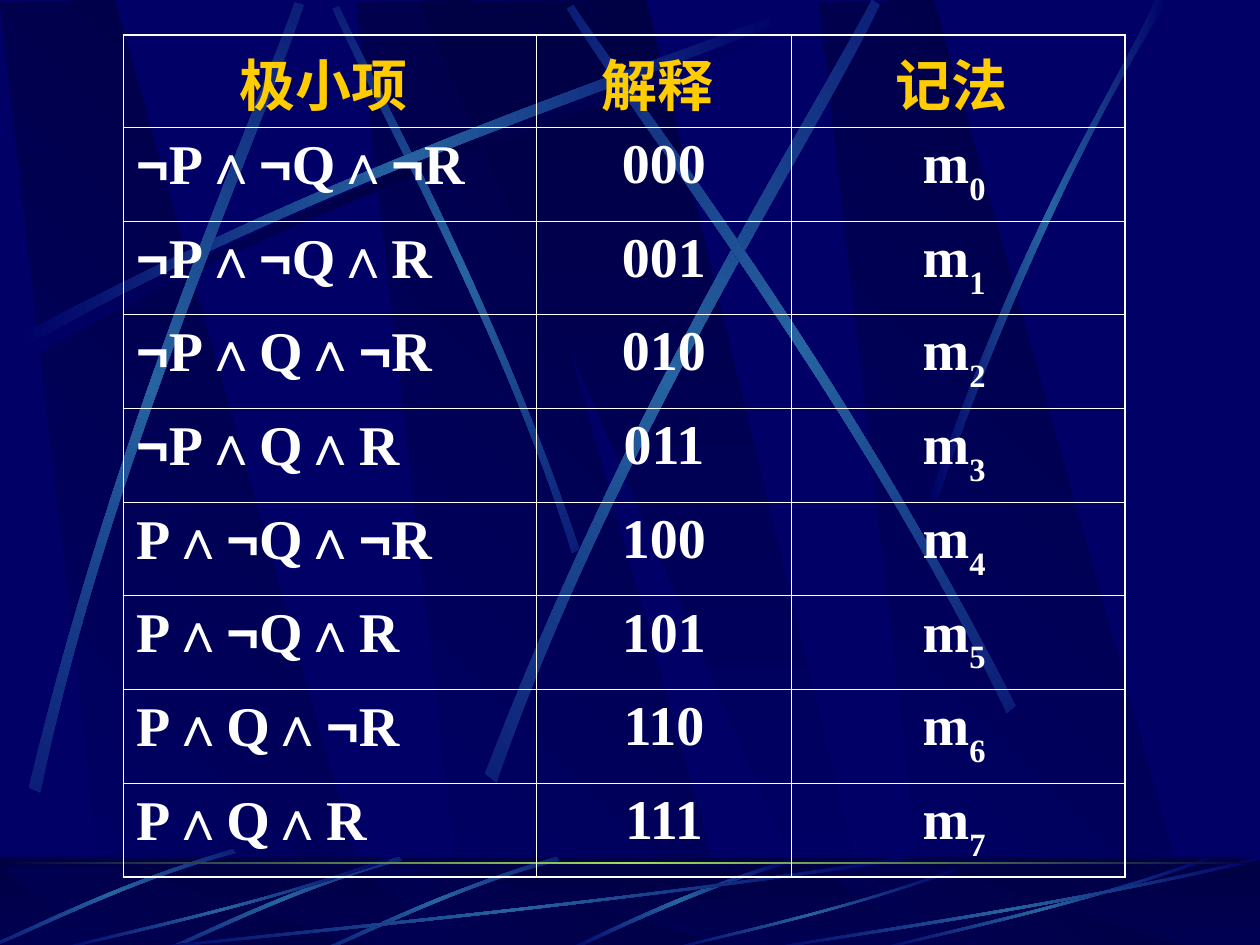
from itertools import groupby
from math import cos, radians, sin

from lxml import etree
from pptx import Presentation
from pptx.dml.color import RGBColor
from pptx.enum.shapes import MSO_SHAPE
from pptx.enum.text import PP_ALIGN
from pptx.oxml.ns import qn
from pptx.util import Inches, Pt

RECTANGLE = MSO_SHAPE.RECTANGLE
CENTER, LEFT = PP_ALIGN.CENTER, PP_ALIGN.LEFT

NAVY = RGBColor(0x00, 0x00, 0x66)
DARK = RGBColor(0x00, 0x00, 0x44)
STEEL = RGBColor(0x26, 0x63, 0xA0)
GREEN = RGBColor(0x9C, 0xE1, 0x57)
GOLD = RGBColor(0xFF, 0xCC, 0x00)
WHITE = RGBColor(0xFF, 0xFF, 0xFF)

SERIF, SANS, CHINESE = "Times New Roman", "Arial", "Noto Sans CJK SC"
STREAK = (NAVY, STEEL, NAVY)
OUTER, INNER = Pt(1.08), Pt(0.45)

# Dark bands: corner points, and whether they shade from top to bottom
BAND = [(0.86, 7.5), (3.02, 7.52), (0.91, 0), (0, 0.02)]
BANDS = [([(x + shift, y) for x, y in BAND], False) for shift in (2.83, 0, 6.5)]
BANDS.append(([(3.33, 0.01), (6.58, 7.51), (6.94, 7.51), (5.13, 0)], True))

# Streaks: start, two controls, end, then the way back; and the turn of the shape
SHADOW_STREAK = [(0.2, 2.75), (2.84, 1.34), (5.24, 0.59), (6.26, 0.18),
                 (6.29, 0.24), (5.28, 0.69), (2.54, 1.51), (0.23, 2.85)]
TOP_STREAKS = [
    ([(4.6, 4.36), (3.91, 2.34), (3.02, 0.77), (2.69, 0.05),
      (2.64, 0.07), (2.95, 0.79), (3.98, 2.58), (4.54, 4.39)], 45),
    ([(x - 0.06, y - 0.08) for x, y in SHADOW_STREAK], 0),
    ([(0.23, 6.25), (0.93, 3.34), (1.97, 1.05), (2.34, 0.02),
      (2.41, 0.04), (2.07, 1.09), (0.86, 3.68), (0.32, 6.29)], 311.7),
    ([(3.85, 6.14), (4.98, 3.2), (6.38, 1.02), (6.92, 0),
      (6.98, 0.04), (6.49, 1.08), (4.86, 3.55), (3.94, 6.21)], 321.6),
    ([(8.06, 5.6), (6.7, 2.93), (5.16, 0.95), (4.55, 0.04),
      (4.5, 0.07), (5.07, 1.01), (6.85, 3.25), (7.99, 5.66)], 34.8),
    ([(7.38, 3.94), (8.14, 1.73), (8.88, 0.66), (9.17, 0),
      (9.27, 0), (8.36, 1.45), (7.69, 3.22), (7.44, 3.97)], 0),
]
STEEP_FLOOR = [(6.27, 6.82), (5.37, 7.09), (4.77, 7.42), (4.48, 7.54),
               (4.53, 7.55), (4.9, 7.37), (5.71, 7), (6.28, 6.85)]
SHORT_FLOOR = [(1.85, 6.79), (0.98, 7.04), (0.3, 7.39), (-0.01, 7.52),
               (0, 7.54), (0.31, 7.42), (1.08, 7.02), (1.87, 6.82)]
SHORT_SHIFTS = [(2.57, 0.01), (1.32, 0.01), (0, -0.05)]
# Flat floor streaks share one outline in unit size: left, top, width, height
FLAT_FLOOR = [(1, 0.04), (0.57, 0.57), (0.17, 0.85), (0.01, 1),
              (0, 0.99), (0.17, 0.81), (0.62, 0.51), (1, 0)]
FLAT_PLACES = [(1, 6.8, 6.17, 0.75), (0.42, 6.8, 2.67, 0.75),
               (5.27, 6.89, 2.31, 0.66), (6.92, 6.8, 2.67, 0.75),
               (6, 6.8, 4, 0.75)]


def turn(point, degrees):
    x, y = point
    angle = radians(degrees)
    return x * cos(angle) - y * sin(angle), x * sin(angle) + y * cos(angle)


def unturned(points, degrees):
    """Points of a shape that shows as the given points once it is rotated."""
    level = [turn(point, -degrees) for point in points]
    middle = [(min(values) + max(values)) / 2 for values in zip(*level)]
    center = turn(middle, degrees)
    return [(x - middle[0] + center[0], y - middle[1] + center[1]) for x, y in level]


class SlideMaker:
    text_style = {"size": Pt(32), "bold": True}

    def __init__(self, page):
        self.page = page

    def gradient(self, shape, colors, angle):
        shape.shadow.inherit = False
        shape.line.fill.background()
        shape.fill.gradient()
        shape.fill.gradient_angle = angle
        stops = shape._element.spPr.find(qn("a:gradFill")).find(qn("a:gsLst"))
        stops.clear()
        for index, color in enumerate(colors):
            position = 100000 * index // (len(colors) - 1)
            stop = etree.SubElement(stops, qn("a:gs"), pos=str(position))
            etree.SubElement(stop, qn("a:srgbClr"), val=str(color))

    def outline(self, points, colors, angle):
        corners = [(Inches(x), Inches(y)) for x, y in points]
        builder = self.page.shapes.build_freeform(*corners[0])
        builder.add_line_segments(corners[1:], close=True)
        shape = builder.convert_to_shape()
        self.gradient(shape, colors, angle)
        return shape

    def band(self, points, vertical):
        if vertical:
            self.outline(points, (DARK, NAVY), 270)
        else:
            self.outline(points, (NAVY, DARK), 45)

    def streak(self, points, rotation=0, colors=STREAK):
        shape = self.outline(unturned(points, rotation), colors, 0)
        shape.rotation = rotation
        # Join the segments of each long side into one curve
        segments = list(shape._element.iter(qn("a:lnTo")))
        for side in (segments[:3], segments[4:]):
            curve = etree.Element(qn("a:cubicBezTo"))
            side[0].addprevious(curve)
            for segment in side:
                curve.append(segment[0])
                segment.getparent().remove(segment)

    def bar(self, top, height, colors, angle):
        box = self.page.shapes.add_shape(
            RECTANGLE, 0, Inches(top), Inches(10), Inches(height))
        self.gradient(box, colors, angle)
        return box

    def veil(self, top, height, color, opacity):
        box = self.bar(top, height, (color, color), 0)
        box.fill.solid()
        box.fill.fore_color.rgb = color
        tint = box._element.spPr.find(qn("a:solidFill"))[0]
        etree.SubElement(tint, qn("a:alpha"), val=str(opacity * 1000))

    def span(self, para, text, font, color, baseline=0):
        span = para.add_run()
        span.text = text
        for name, value in {**self.text_style, "name": font}.items():
            setattr(span.font, name, value)
        span.font.color.rgb = color
        if font == CHINESE:
            etree.SubElement(span.font._element, qn("a:ea"), typeface=font)
        if baseline:
            span.font._element.set("baseline", str(baseline * 1000))

    def borders(self, cell, widths):
        properties = cell._tc.get_or_add_tcPr()
        for index, (side, width) in enumerate(widths.items()):
            line = etree.Element(qn(f"a:ln{side}"), w=str(width))
            fill = etree.SubElement(line, qn("a:solidFill"))
            etree.SubElement(fill, qn("a:srgbClr"), val=str(WHITE))
            properties.insert(index, line)

    def table(self, left, top, widths, heights, rows):
        """Each cell of rows is an alignment and a list of spans."""
        grid = self.page.shapes.add_table(
            len(rows), len(widths), Inches(left), Inches(top),
            Inches(sum(widths)), Inches(sum(heights))).table
        grid.first_row = grid.horz_banding = False
        for column, width in zip(grid.columns, widths):
            column.width = Inches(width)
        last_row, last_column = len(rows) - 1, len(widths) - 1
        for r, (row, height) in enumerate(zip(rows, heights)):
            grid.rows[r].height = Inches(height)
            for c, (alignment, spans) in enumerate(row):
                cell = grid.cell(r, c)
                cell.margin_bottom = Inches(0.02)
                cell.fill.background()
                edges = {"L": c == 0, "R": c == last_column,
                         "T": r == 0, "B": r == last_row}
                self.borders(cell, {side: OUTER if edge else INNER
                                    for side, edge in edges.items()})
                para = cell.text_frame.paragraphs[0]
                para.alignment = alignment
                for span in spans:
                    self.span(para, *span)


def minterm_row(number):
    bits = f"{number:03b}"
    term = "∧".join(letter if bit == "1" else "¬" + letter
                    for letter, bit in zip("PQR", bits))
    spans = [("".join(group), SANS if symbol else SERIF, WHITE)
             for symbol, group in groupby(term, lambda sign: sign in "∧¬")]
    notation = [("m", SERIF, WHITE), (f"{number} ", SERIF, WHITE, -30)]
    return [(LEFT, spans), (CENTER, [(bits, SERIF, WHITE)]), (CENTER, notation)]


def main():
    deck = Presentation()
    deck.slide_width, deck.slide_height = Inches(10), Inches(7.5)
    page = deck.slides.add_slide(deck.slide_layouts[6])
    page.background.fill.solid()
    page.background.fill.fore_color.rgb = NAVY
    maker = SlideMaker(page)

    # Upper backdrop
    for points, vertical in BANDS:
        maker.band(points, vertical)
    maker.streak(SHADOW_STREAK, colors=(NAVY, DARK, NAVY))
    for points, rotation in TOP_STREAKS:
        maker.streak(points, rotation)

    # Floor: the same bands squeezed into a strip
    maker.bar(6.8, 0.75, (DARK, NAVY), 270)
    for points, vertical in BANDS:
        maker.band([(x, 6.88 + y * 0.66 / 7.5) for x, y in points], vertical)
    maker.veil(6.8, 0.75, DARK, 50)
    maker.streak(STEEP_FLOOR)
    for right, down in SHORT_SHIFTS:
        maker.streak([(x + right, y + down) for x, y in SHORT_FLOOR], 314.9)
    for left, top, width, height in FLAT_PLACES:
        maker.streak([(left + x * width, top + y * height) for x, y in FLAT_FLOOR])
    maker.bar(6.84, 0.02, (DARK, GREEN, DARK), 0)

    # Minterm table
    header = [(CENTER, [(title, CHINESE, GOLD)]) for title in ("极小项 ", "解释 ", "记法 ")]
    rows = [header] + [minterm_row(number) for number in range(8)]
    maker.table(0.98, 0.28, [3.28, 2.02, 2.65], [0.73] + [5.95 / 8] * 8, rows)

    deck.save("out.pptx")


if __name__ == "__main__":
    main()
